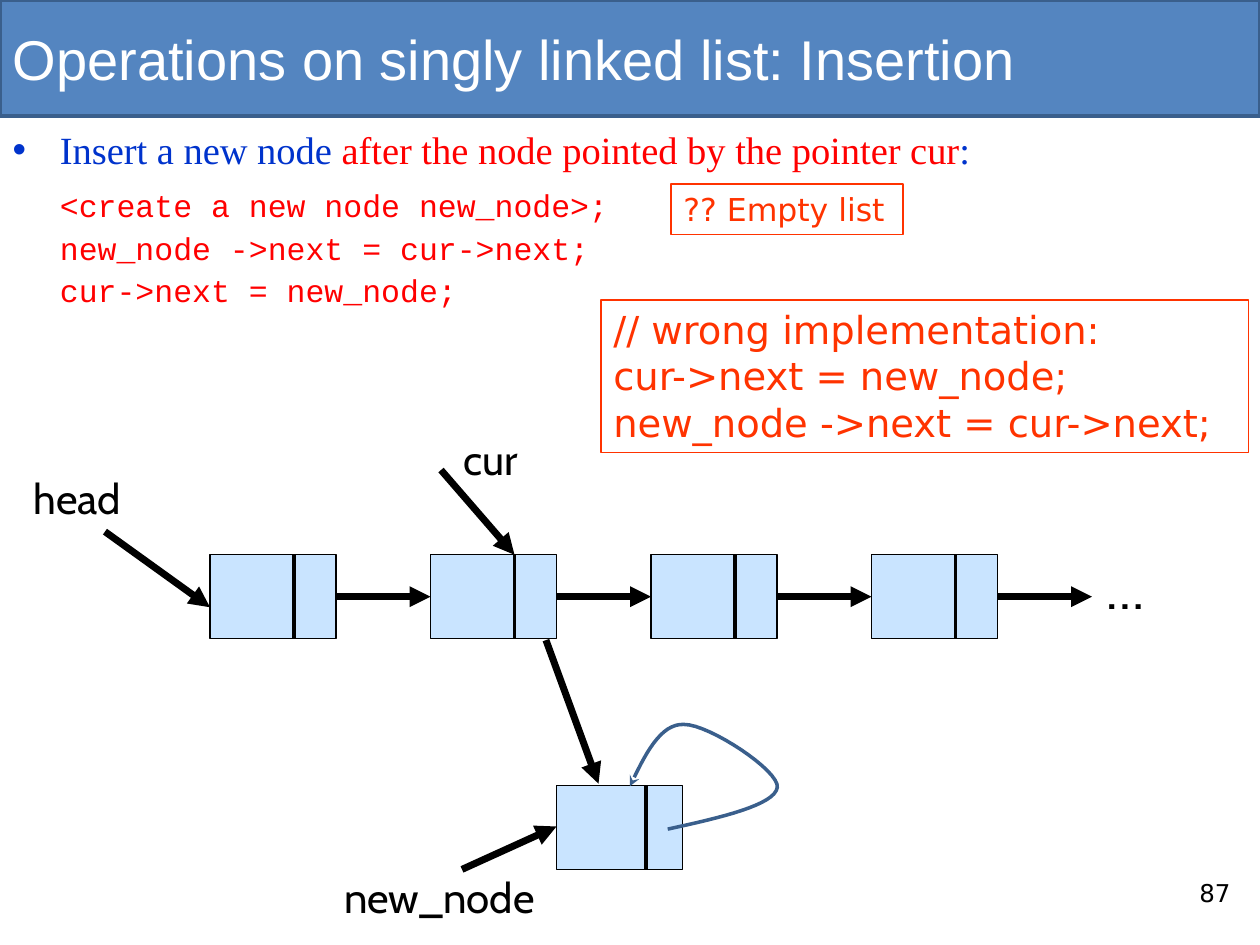
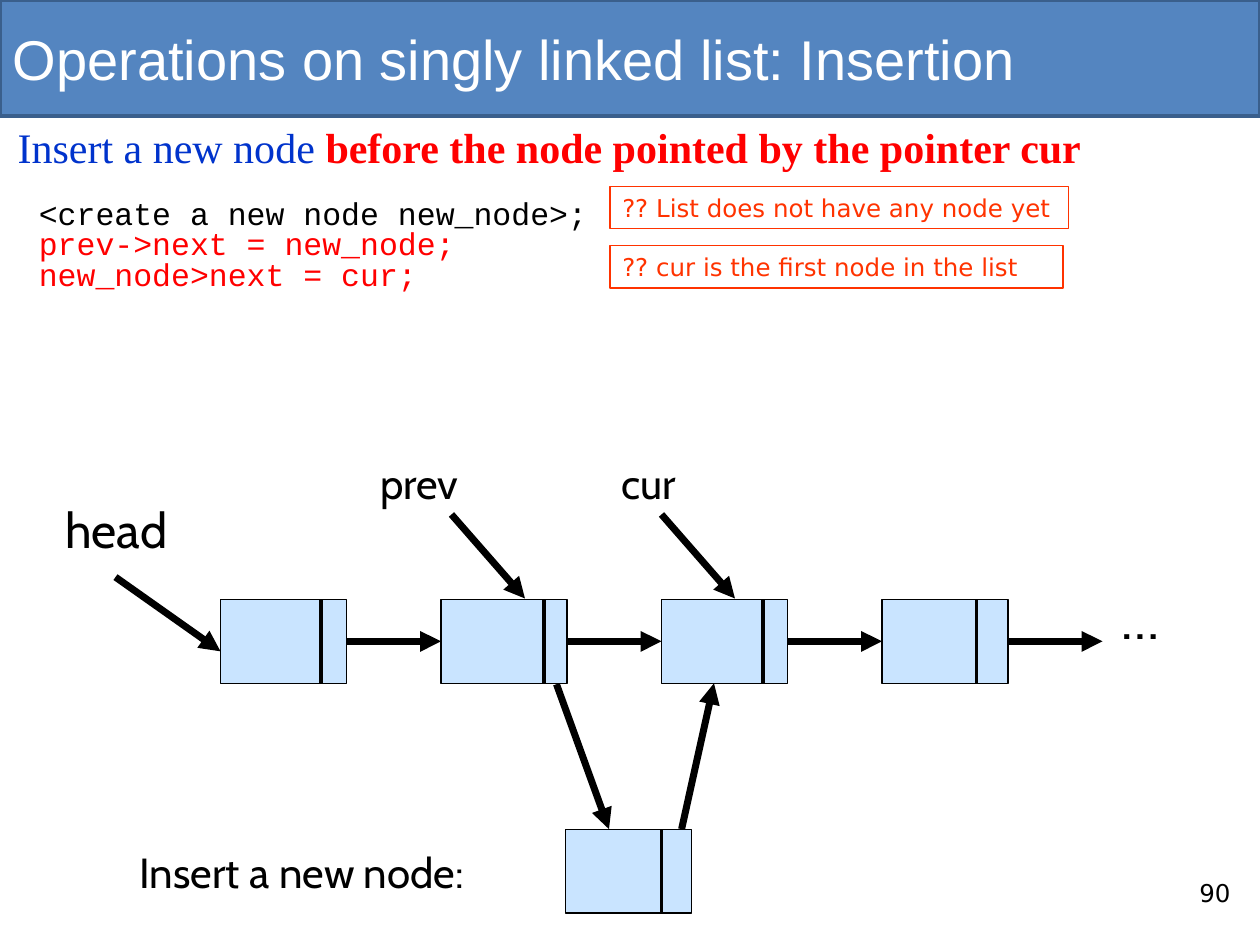
from typing import Any, NamedTuple, Optional

from lxml.etree import SubElement
from pptx import Presentation
from pptx.dml.color import RGBColor
from pptx.enum.shapes import MSO_CONNECTOR, MSO_SHAPE
from pptx.enum.text import MSO_ANCHOR, MSO_AUTO_SIZE, PP_ALIGN
from pptx.oxml.ns import qn
from pptx.util import Pt

Point = tuple[float, float]
Box = tuple[float, float, float, float]

# Shared colours, text formats and sizes
BLACK, WHITE, RED, BLUE = "000000", "FFFFFF", "FF0000", "0033CC"
BAND, EDGE, NODE_FILL, WARNING = "5485C0", "3A5F8C", "C9E4FF", "FF3300"
TITLE = {"name": "Arial", "size": 32, "color": WHITE}
LEAD = {"name": "Times New Roman", "size": 22, "color": BLUE}
CODE = {"name": "Courier New", "size": 18, "color": RED}
LABEL = {"name": "Cabin", "size": 24, "color": BLACK}
NOTE = {"name": "DejaVu Sans", "size": 18, "color": WARNING}
NUMBER = {"name": "DejaVu Sans", "size": 14, "color": BLACK}
TITLE_BOX: Box = (0, 0, 720, 66.24)
NODE_W, NODE_H, NODE_STEP = 72, 48, 126


class Run(NamedTuple):
    text: str
    fmt: dict[str, Any]


class Para(NamedTuple):
    runs: list[Run]
    spacing: Optional[float] = None
    before: float = 0
    margin: float = 0
    bullet: bool = False


class Label(NamedTuple):
    text: str
    box: Box
    size: float = 24


class Note(NamedTuple):
    lines: list[str]
    box: Box
    size: float


class Arrow(NamedTuple):
    start: Point
    end: Point


def rgb(color: str) -> RGBColor:
    return RGBColor.from_string(color)


def pts(values: tuple) -> list[int]:
    return [Pt(v) for v in values]


def set_font(font: Any, fmt: dict[str, Any]) -> None:
    for key, value in fmt.items():
        if key == "color":
            font.color.rgb = rgb(value)
        else:
            setattr(font, key, Pt(value) if key == "size" else value)


def place(sp: Any, box: Box) -> None:
    for key, value in zip(("left", "top", "width", "height"), pts(box)):
        setattr(sp, key, value)


def set_line(sp: Any, color: str, width: float, tail: str = "") -> None:
    sp.line.color.rgb = rgb(color)
    sp.line.width = Pt(width)
    if tail:
        ln = sp.element.spPr.find(qn("a:ln"))
        SubElement(ln, qn("a:tailEnd"), type=tail)


def write(tf: Any, paras: list[Para]) -> None:
    for i, para in enumerate(paras):
        p = tf.paragraphs[0] if i == 0 else tf.add_paragraph()
        p.alignment = PP_ALIGN.LEFT
        p.space_before = Pt(para.before)
        if para.spacing:
            p.line_spacing = para.spacing
        # Indent and bullet
        pPr = p._p.get_or_add_pPr()
        pPr.set("marL", str(Pt(para.margin)))
        pPr.set("indent", str(Pt(-para.margin if para.bullet else 0)))
        if para.bullet:
            SubElement(pPr, qn("a:buChar"), char="•")
        else:
            SubElement(pPr, qn("a:buNone"))
        for run in para.runs:
            r = p.add_run()
            r.text = run.text
            set_font(r.font, run.fmt)


def fill_placeholder(sp: Any, box: Box, paras: list[Para], anchor: MSO_ANCHOR) -> None:
    place(sp, box)
    tf = sp.text_frame
    tf.auto_size = MSO_AUTO_SIZE.NONE
    tf.word_wrap = True
    tf.vertical_anchor = anchor
    write(tf, paras)


def add_rect(shapes: Any, box: Box, fill: str, line: str, width: float) -> Any:
    sp = shapes.add_shape(MSO_SHAPE.RECTANGLE, *pts(box))
    sp.shadow.inherit = False
    sp.fill.solid()
    sp.fill.fore_color.rgb = rgb(fill)
    set_line(sp, line, width)
    return sp


def add_text(shapes: Any, box: Box, paras: list[Para], wrap: bool = True) -> Any:
    sp = shapes.add_textbox(*pts(box))
    tf = sp.text_frame
    tf.word_wrap = wrap
    tf.auto_size = MSO_AUTO_SIZE.SHAPE_TO_FIT_TEXT
    write(tf, paras)
    return sp


def add_line(shapes: Any, start: Point, end: Point, width: float, tail: str = "") -> None:
    cx = shapes.add_connector(MSO_CONNECTOR.STRAIGHT, *pts(start + end))
    set_line(cx, BLACK, width, tail)
    SubElement(cx.element.spPr, qn("a:effectLst"))


def add_node(shapes: Any, left: float, top: float, split: float) -> None:
    add_rect(shapes, (left, top, NODE_W, NODE_H), NODE_FILL, BLACK, 0.75)
    add_line(shapes, (left + split, top), (left + split, top + NODE_H), 2.25)


def add_list(shapes: Any, left: float, top: float, splits: list[float]) -> None:
    """Draw the row of nodes, each with an arrow to the next."""
    middle = top + NODE_H / 2
    for i, split in enumerate(splits):
        x = left + i * NODE_STEP
        add_node(shapes, x, top, split)
        add_line(shapes, (x + NODE_W, middle), (x + NODE_STEP, middle), 4, "triangle")


def add_annotations(shapes: Any, labels: list[Label], arrows: list[Arrow],
                    notes: list[Note]) -> None:
    for label in labels:
        add_text(shapes, label.box, [Para([Run(label.text, {**LABEL, "size": label.size})])])
    for arrow in arrows:
        add_line(shapes, arrow.start, arrow.end, 4, "triangle")
    for note in notes:
        fmt = {**NOTE, "size": note.size}
        sp = add_text(shapes, note.box, [Para([Run(t, fmt)]) for t in note.lines], wrap=False)
        set_line(sp, WARNING, 0.75)


def bezier(a: Point, b: Point, c: Point, d: Point, steps: int = 16) -> list[Point]:
    points = []
    for i in range(1, steps + 1):
        t = i / steps
        u = 1 - t
        weights = (u ** 3, 3 * u * u * t, 3 * u * t * t, t ** 3)
        x, y = (sum(w * q[k] for w, q in zip(weights, (a, b, c, d))) for k in (0, 1))
        points.append((x, y))
    return points


def add_loop(shapes: Any, knots: list[Point]) -> None:
    """Draw a curved arrow through cubic segments that share end points."""
    points = [q for i in range(0, len(knots) - 1, 3) for q in bezier(*knots[i:i + 4])]
    fb = shapes.build_freeform(*pts(knots[0]))
    fb.add_line_segments([tuple(pts(q)) for q in points], close=False)
    sp = fb.convert_to_shape()
    sp.shadow.inherit = False
    sp.fill.background()
    set_line(sp, EDGE, 2, "stealth")


def add_band(prs: Any, s: Any) -> None:
    """Put the title band behind everything on the slide master."""
    band = add_rect(s.shapes, TITLE_BOX, BAND, EDGE, 2)
    band.element.nvSpPr.cNvPr.set("id", "99")
    prs.slide_master.shapes.element.insert(2, band.element)


def new_slide(prs: Any, number: str, body_box: Box, body: list[Para]) -> Any:
    s = prs.slides.add_slide(prs.slide_layouts[1])
    title = [Para([Run("Operations on singly linked list: Insertion", TITLE)])]
    fill_placeholder(s.shapes.title, TITLE_BOX, title, MSO_ANCHOR.MIDDLE)
    fill_placeholder(s.placeholders[1], body_box, body, MSO_ANCHOR.TOP)
    add_text(s.shapes, (678.24, 498.24, 36, 28.8), [Para([Run(number, NUMBER)])])
    return s


def insert_after(prs: Any) -> None:
    lead = [Run("Insert a new node ", LEAD),
            Run("after the node pointed by the pointer cur", {**LEAD, "color": RED}),
            Run(":", LEAD)]
    code = [("<create a new node new_node>;", 10),
            ("new_node ->next = cur->next;", 5),
            ("cur->next = new_node;", 5)]
    body = [Para(lead, 0.9, margin=27, bullet=True)]
    body += [Para([Run(text, CODE)], 0.9, before, 27) for text, before in code]
    s = new_slide(prs, "87", (0, 71.3, 648, 156), body)
    add_band(prs, s)

    # Linked list and the new node
    add_list(s.shapes, 120, 317, [48] * 4)
    add_node(s.shapes, 318, 448.75, 51)
    add_annotations(
        s.shapes,
        [Label("…", (625, 312.5, 84, 45.4), 32),
         Label("head", (12, 266.4, 108, 36)),
         Label("cur", (258, 244, 108, 36)),
         Label("new_node", (189.5, 494.6, 132, 36))],
        [Arrow((60, 303.8), (120, 347)),
         Arrow((252, 268.6), (294, 317)),
         Arrow((264, 496.8), (318, 472.3)),
         Arrow((312, 365.8), (342, 447.8))],
        [Note(["// wrong implementation:", "cur->next = new_node;",
               "new_node ->next = cur->next;"], (343.4, 171.4, 370, 87.1), 22),
         Note(["?? Empty list"], (383.5, 105.1, 132.5, 29), 18)])

    # The new node pointing at itself
    add_loop(s.shapes, [(381.6, 473.8), (411.8, 467.3), (442.8, 460), (444.2, 450),
                        (445.7, 440.6), (405.4, 414), (391, 414),
                        (377.3, 413.3), (368.6, 431.3), (360, 449.3)])


def insert_before(prs: Any) -> None:
    lead = [Run("Insert a new node ", {**LEAD, "size": 24}),
            Run("before the node pointed by the pointer cur",
                {**LEAD, "size": 24, "color": RED, "bold": True})]
    s = new_slide(prs, "90", (2.9, 69.1, 717, 54), [Para(lead, 0.9)])
    code = [("<create a new node new_node>;", BLACK),
            ("prev->next = new_node;", RED),
            ("new_node>next = cur;", RED)]
    add_text(s.shapes, (15.1, 111.6, 332.6, 59.8),
             [Para([Run(text, {**CODE, "color": color})], 0.8) for text, color in code])

    # Linked list and the new node
    add_list(s.shapes, 126, 342.5, [57.6, 59, 58, 54])
    add_node(s.shapes.add_group_shape().shapes, 323.3, 473.8, 54.7)
    add_annotations(
        s.shapes,
        [Label("…", (633.6, 329.8, 84, 45.4), 32),
         Label("head", (30.2, 282.2, 108, 41), 28),
         Label("Insert a new node:", (72.7, 480.2, 221.8, 36)),
         Label("prev", (210.2, 257.8, 108, 36)),
         Label("cur", (348, 257.8, 96, 36))],
        [Arrow((66, 329.8), (126, 372.2)),
         Arrow((318, 391), (348, 473.8)),
         Arrow((389.5, 473.8), (408, 390.5)),
         Arrow((378, 294), (420, 342)),
         Arrow((258, 294), (300, 342))],
        [Note(["?? List does not have any node yet"], (348.5, 106.6, 262, 24.2), 14),
         Note(["?? cur is the first node in the list"], (348.5, 140.4, 259, 24.2), 14)])


def main() -> None:
    prs = Presentation()
    prs.slide_width, prs.slide_height = Pt(720), Pt(540)
    insert_after(prs)
    insert_before(prs)
    prs.save("out.pptx")


if __name__ == "__main__":
    main()
